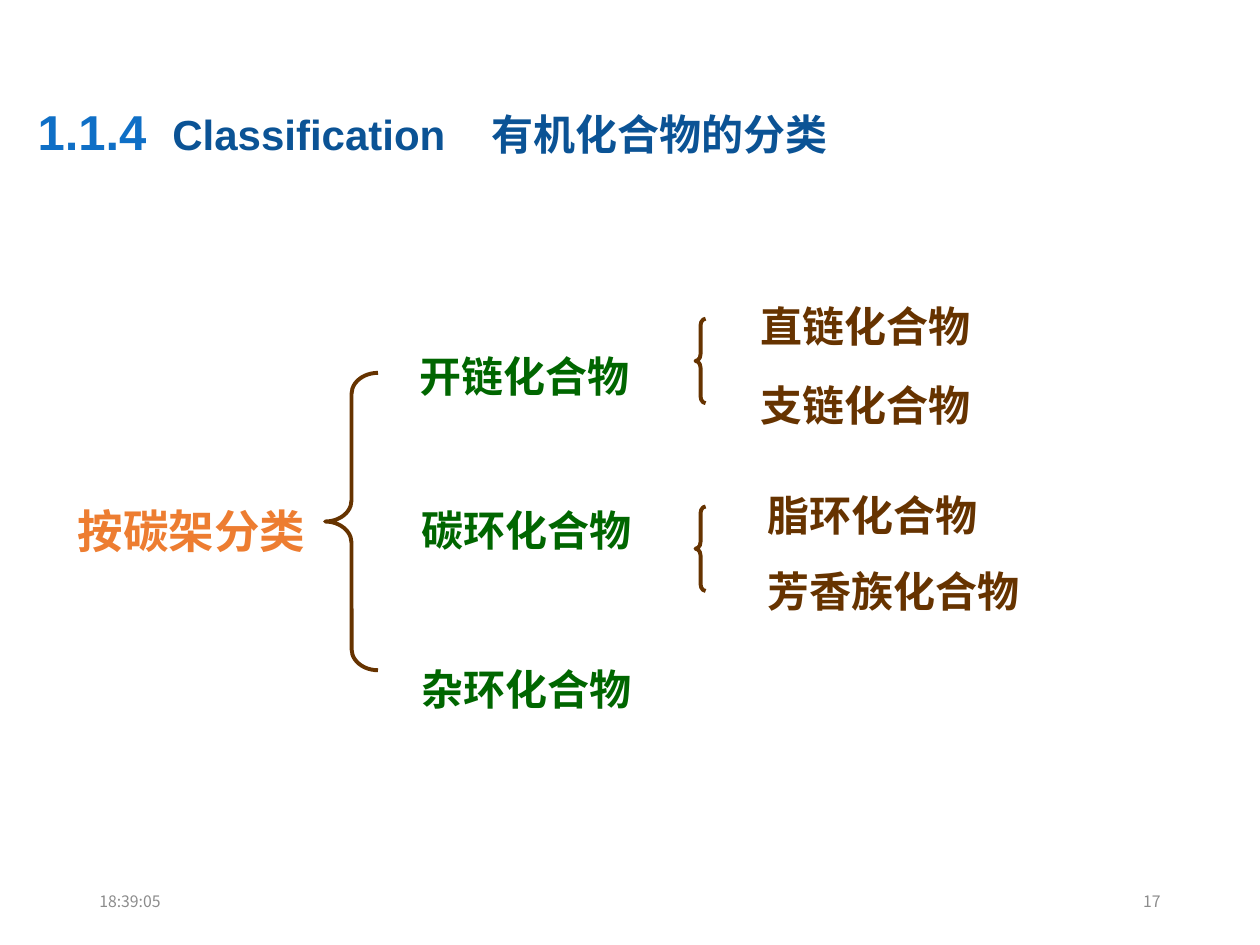
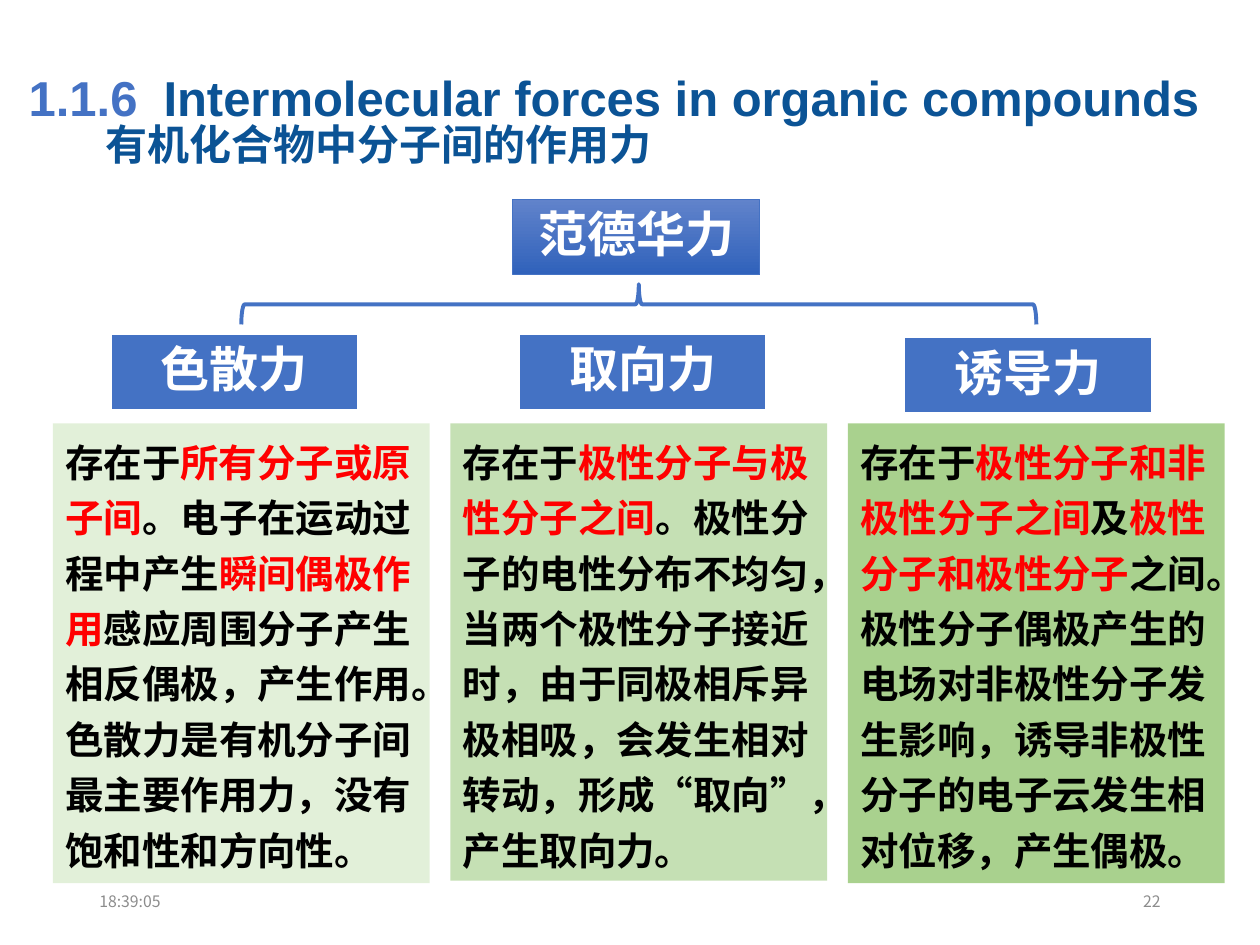
"""Builds two slides on organic compounds: their classes and the forces between molecules."""
from lxml.etree import SubElement
from pptx import Presentation
from pptx.dml.color import RGBColor
from pptx.enum.shapes import MSO_SHAPE as Shape
from pptx.enum.text import MSO_ANCHOR as Anchor, PP_ALIGN as Align
from pptx.oxml.ns import qn
from pptx.util import Inches, Pt

WIDE, HIGH = 10, 7.5
SANS, SERIF, HAN = "Arial", "Times New Roman", "Noto Sans CJK SC"
BLUE, NAVY, SKY, ORANGE = "4472C4", "0B5395", "0F6FC6", "ED7D31"
GREEN, BROWN, RED, BLACK, WHITE, GREY = "006600", "663300", "FF0000", "000000", "FFFFFF", "8C8C8C"
TIME = "18:39:05"
TABS = 1.07, 3.6

TREE = [
    ("按碳架分类", 26, ORANGE, 0.52, 3.95),
    ("开链化合物", 24, GREEN, 3.23, 2.73),
    ("碳环化合物", 24, GREEN, 3.25, 3.95),
    ("杂环化合物", 24, GREEN, 3.25, 5.21),
    ("直链化合物", 24, BROWN, 5.94, 2.33),
    ("支链化合物", 24, BROWN, 5.94, 2.96),
    ("脂环化合物", 24, BROWN, 5.99, 3.83),
    ("芳香族化合物", 24, BROWN, 5.99, 4.43),
]
BRACES = [
    ((2.58, 2.96, 0.42, 2.36), 0.4),
    ((5.52, 2.53, 0.08, 0.67), 0.667),
    ((5.52, 4.02, 0.08, 0.67), 0.667),
]
FORCES = [
    ("色散力", 0.88, 2.65, "E2F0D9", 3.65, [
        ("存在于", BLACK), ("所有分子或原子间", RED),
        ("。电子在运动过程中产生", BLACK), ("瞬间偶极作用", RED),
        ("感应周围分子产生相反偶极，产生作用。色散力是有机分子间最主要作用力，"
         "没有饱和性和方向性。", BLACK)]),
    ("取向力", 4.12, 2.65, "C5E0B4", 3.63, [
        ("存在于", BLACK), ("极性分子与极性分子之间", RED),
        ("。极性分子的电性分布不均匀，当两个极性分子接近时，由于同极相斥异极相吸，"
         "会发生相对转动，形成“取向”，产生取向力。", BLACK)]),
    ("诱导力", 7.18, 2.68, "A9D18E", 3.65, [
        ("存在于", BLACK), ("极性分子和非极性分子之间", RED),
        ("及", BLACK), ("极性分子和极性分子", RED),
        ("之间。极性分子偶极产生的电场对非极性分子发生影响，"
         "诱导非极性分子的电子云发生相对位移，产生偶极。", BLACK)]),
]
HEAD = 1.96, 0.6
CARD, STEP, EDGE, TOP = 2.99, 3.155, 0.42, 3.36


def tint(code):
    return RGBColor.from_string(code)


def write(para, parts, face, bold=True):
    for text, size, hue in parts:
        run = para.add_run()
        run.text = text
        font = run.font
        font.size, font.bold, font.name = Pt(size), bold, face
        font.color.rgb = tint(hue)
        SubElement(font._element, qn("a:ea")).set("typeface", HAN)


def label(slide, box, parts, face, anchor=Anchor.MIDDLE, bold=True):
    frame = slide.shapes.add_textbox(*map(Inches, box)).text_frame
    frame.word_wrap, frame.vertical_anchor = True, anchor
    write(frame.paragraphs[0], parts, face, bold)
    return frame


def block(slide, kind, box, fill=None, line=None, width=1):
    shape = slide.shapes.add_shape(kind, *map(Inches, box))
    shape.shadow.inherit = False
    if fill:
        shape.fill.solid()
        shape.fill.fore_color.rgb = tint(fill)
    else:
        shape.fill.background()
    if line:
        shape.line.color.rgb, shape.line.width = tint(line), Pt(width)
    else:
        shape.line.fill.background()
    return shape


def plate(slide, text, left, top, line, width):
    shape = block(slide, Shape.RECTANGLE, (left, top, *HEAD), BLUE, line, width)
    frame = shape.text_frame
    frame.margin_left = frame.margin_right = Inches(0.02)
    frame.margin_top = frame.margin_bottom = Inches(0.02)
    frame.vertical_anchor = Anchor.MIDDLE
    para = frame.paragraphs[0]
    para.alignment, para.line_spacing = Align.CENTER, 0.9
    write(para, [(text, 28, WHITE)], HAN)
    return shape


def title(slide, box, parts):
    frame = label(slide, box, [], SANS, Anchor.TOP)
    para = frame.paragraphs[0]
    stops = SubElement(para._p.get_or_add_pPr(), qn("a:tabLst"))
    for stop in TABS:
        tab = SubElement(stops, qn("a:tab"))
        tab.set("pos", str(Inches(stop)))
        tab.set("algn", "l")
    write(para, parts, SANS)
    return frame


def start(deck, page):
    slide = deck.slides.add_slide(deck.slide_layouts[6])
    for text, left, align in ((TIME, 0.69, Align.LEFT), (page, 7.06, Align.RIGHT)):
        frame = label(slide, (left, 6.95, 2.25, 0.4), [(text, 9, GREY)], HAN, bold=False)
        frame.paragraphs[0].alignment = align
    return slide


def classes(deck):
    slide = start(deck, "17")
    title(slide, (0.2, 0.76, 9.27, 0.57),
          [("1.1.4\t", 28, SKY), ("Classification\t有机化合物的分类", 24, NAVY)])
    for text, size, hue, left, top in TREE:
        wide = (len(text) + 1) * size / 72 + 0.2
        label(slide, (left, top, wide, 0.51), [(text, size, hue)], SERIF)
    for box, curve in BRACES:
        brace = block(slide, Shape.LEFT_BRACE, box, line=BROWN, width=2.25)
        brace.adjustments[0] = curve


def forces(deck):
    slide = start(deck, "22")
    frame = title(slide, (0.13, 0.49, 9.67, 0.98),
                  [("1.1.6\t", 28, BLUE),
                   ("Intermolecular forces in organic compounds", 28, NAVY)])
    para = frame.add_paragraph()
    para._p.get_or_add_pPr().set("marL", str(Inches(0.61)))
    para.line_spacing = 0.83
    write(para, [("有机化合物中分子间的作用力", 24, NAVY)], SANS)

    root = plate(slide, "范德华力", 4.07, 1.58, BLUE, 0.5)
    root.fill.gradient()
    root.fill.gradient_angle = 270
    for stop, hue in zip(root.fill.gradient_stops, ("6183CB", "3062BB")):
        stop.color.rgb = tint(hue)
    ends = root.fill.gradient_stops
    ends[0].position, ends[1].position = 0, 1
    brace = block(slide, Shape.RIGHT_BRACE, (4.91, -0.74, 0.32, 6.31), line=BLUE, width=2.25)
    brace.rotation = 270

    for col, (name, left, top, fill, tall, parts) in enumerate(FORCES):
        plate(slide, name, left, top, WHITE, 1)
        card = block(slide, Shape.RECTANGLE, (EDGE + col * STEP, TOP, CARD, tall), fill)
        card.text_frame.vertical_anchor = Anchor.TOP
        para = card.text_frame.paragraphs[0]
        para.alignment, para.line_spacing = Align.LEFT, 1.2
        write(para, [(text, 22, hue) for text, hue in parts], HAN)


def main():
    deck = Presentation()
    deck.slide_width, deck.slide_height = Inches(WIDE), Inches(HIGH)
    classes(deck)
    forces(deck)
    deck.save("out.pptx")


if __name__ == "__main__":
    main()
